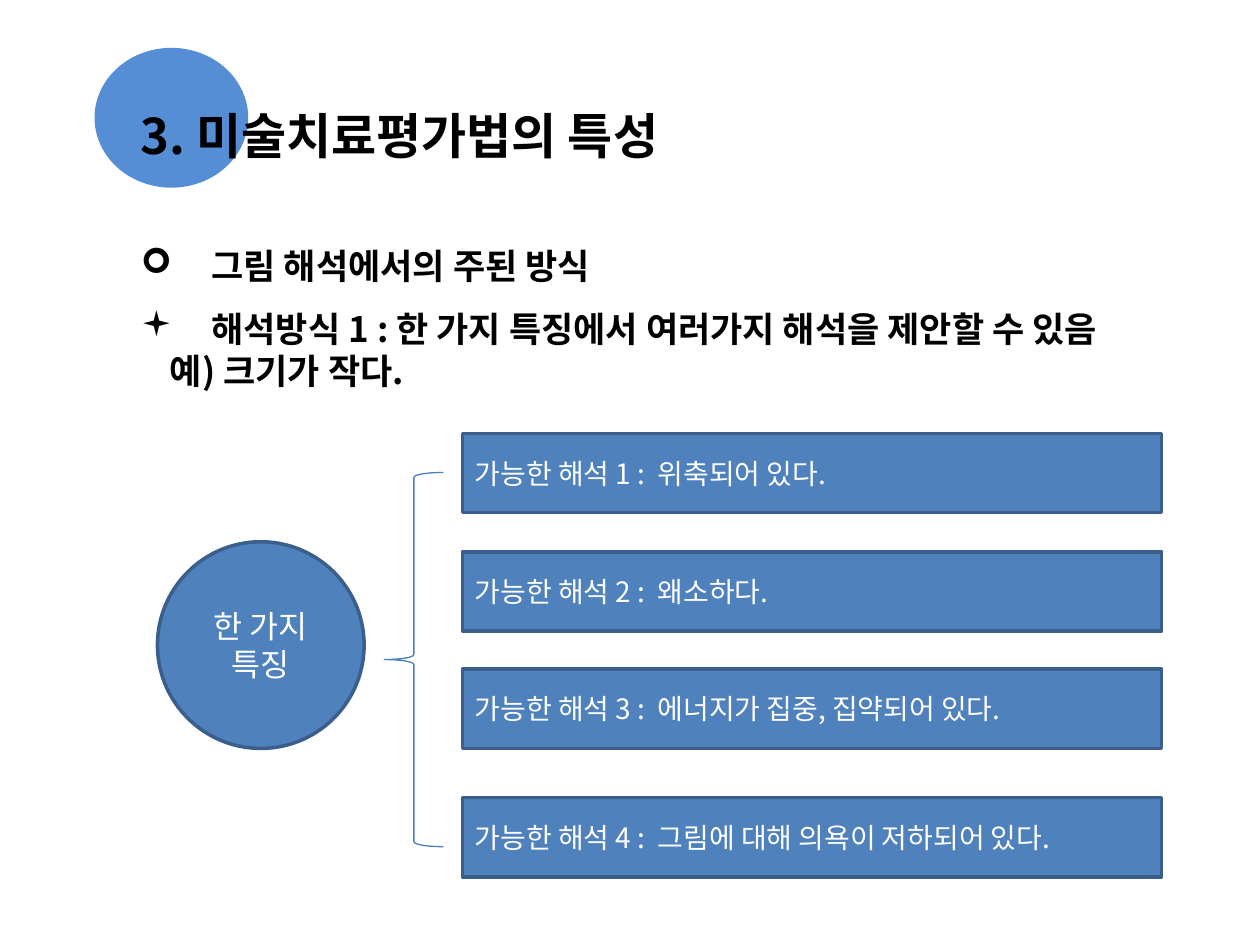
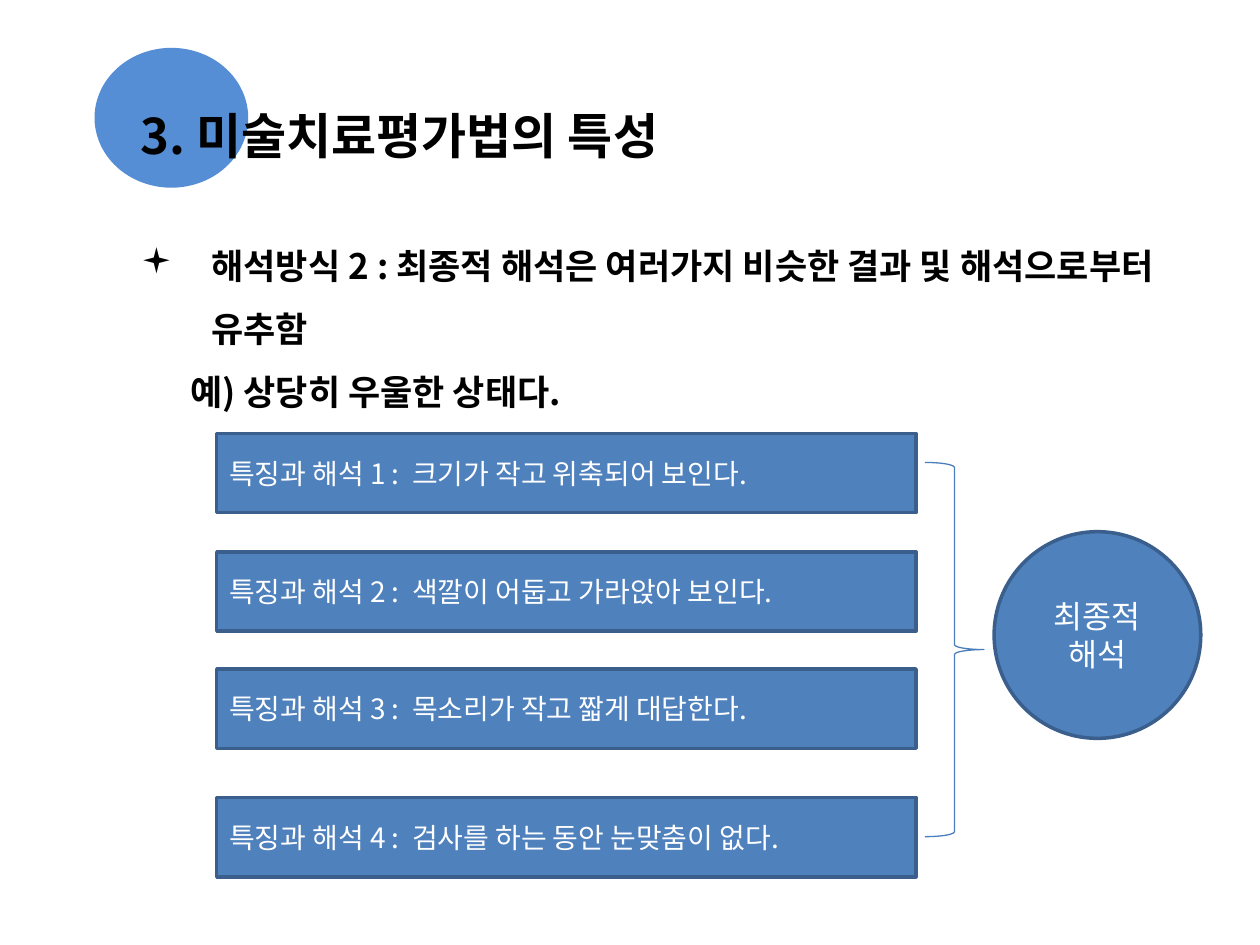
from lxml import etree
from pptx import Presentation
from pptx import util as u
from pptx.dml.color import RGBColor
from pptx.enum import shapes, text
from pptx.oxml import ns

# Shared style
FONT = "Noto Sans CJK KR"
BLACK = RGBColor(0x00, 0x00, 0x00)
WHITE = RGBColor(0xFF, 0xFF, 0xFF)
DISC_BLUE = RGBColor(0x55, 0x8E, 0xD5)
BOX_BLUE = RGBColor(0x4F, 0x81, 0xBD)
EDGE_BLUE = RGBColor(0x3A, 0x5F, 0x8C)
BRACE_BLUE = RGBColor(0x4B, 0x7E, 0xBC)

TITLE = "3. 미술치료평가법의 특성"
COLUMNS, ROWS = 100, 75
BOX_TOPS = (34.4, 43.8, 53.1, 63.3)
HANGING = 5.6

TITLE_FONT = {"size": u.Pt(28), "bold": True, "name": FONT}
BODY_FONT = {"size": u.Pt(20), "bold": True, "name": FONT}
CIRCLE_FONT = {"size": u.Pt(18), "name": FONT}
BOX_FONT = {"size": u.Pt(16), "name": FONT}


class SlideBuilder:
    """Draws elements on the current slide, placed on a 100 by 75 grid."""

    def __init__(self, deck):
        self.deck = deck
        self.column = deck.slide_width / COLUMNS
        self.row = deck.slide_height / ROWS
        self.page = None

    def start_page(self):
        self.page = self.deck.slides.add_slide(self.deck.slide_layouts[6])
        self.shape(shapes.MSO_SHAPE.OVAL, (7.5, 3.8, 12.2, 11.1), DISC_BLUE)

    def place(self, area):
        left, top, width, height = area
        return [round(length) for length in (left * self.column, top * self.row,
                                             width * self.column, height * self.row)]

    def shape(self, preset, area, fill=None, edge=None, weight=2):
        shape = self.page.shapes.add_shape(preset, *self.place(area))
        shape.shadow.inherit = False
        if fill is None:
            shape.fill.background()
        else:
            shape.fill.solid()
            shape.fill.fore_color.rgb = fill
        if edge is None:
            shape.line.fill.background()
        else:
            shape.line.color.rgb = edge
            shape.line.width = u.Pt(weight)
        return shape

    def add_words(self, para, words, font, color, layout):
        span = para.add_run()
        span.text = words
        for name, value in layout.items():
            setattr(para, name, value)
        for name, value in font.items():
            setattr(span.font, name, value)
        span.font.color.rgb = color
        east_asian = etree.SubElement(span._r.get_or_add_rPr(), ns.qn("a:ea"))
        east_asian.set("typeface", FONT)

    def indent(self, para, margin, first=0, bullet=None):
        props = para._p.get_or_add_pPr()
        props.set("marL", str(round(margin * self.column)))
        props.set("indent", str(round(first * self.column)))
        if bullet:
            etree.SubElement(props, ns.qn("a:buFont")).set("typeface", "Wingdings")
            etree.SubElement(props, ns.qn("a:buChar")).set("char", bullet)

    def heading(self, height, lines):
        """Title and body; each line is (bullet, margin, words, line height)."""
        area = self.place((10.2, 7.8, 87.5, height))
        frame = self.page.shapes.add_textbox(*area).text_frame
        frame.word_wrap = True
        self.add_words(frame.paragraphs[0], TITLE, TITLE_FONT, BLACK,
                       {"line_spacing": u.Pt(34)})
        for number, (bullet, margin, words, line_height) in enumerate(lines):
            para = frame.add_paragraph()
            self.indent(para, margin, -margin if bullet else 0, bullet)
            self.add_words(para, words, BODY_FONT, BLACK,
                           {"line_spacing": u.Pt(line_height),
                            "space_before": u.Pt(0 if number else 34)})

    def circle(self, left, top, lines):
        shape = self.shape(shapes.MSO_SHAPE.OVAL, (left, top, 16.4, 16.4),
                           BOX_BLUE, EDGE_BLUE)
        frame = shape.text_frame
        frame.vertical_anchor = text.MSO_ANCHOR.MIDDLE
        for number, words in enumerate(lines):
            para = frame.add_paragraph() if number else frame.paragraphs[0]
            self.add_words(para, words, CIRCLE_FONT, WHITE,
                           {"alignment": text.PP_ALIGN.CENTER,
                            "line_spacing": u.Pt(21.6)})

    def boxes(self, left, label, entries):
        for number, (top, entry) in enumerate(zip(BOX_TOPS, entries), 1):
            box = self.shape(shapes.MSO_SHAPE.RECTANGLE, (left, top, 55.5, 6.3),
                             BOX_BLUE, EDGE_BLUE)
            box.text_frame.vertical_anchor = text.MSO_ANCHOR.MIDDLE
            self.add_words(box.text_frame.paragraphs[0], f"{label} {number} :  {entry}",
                           BOX_FONT, WHITE, {"alignment": text.PP_ALIGN.LEFT})

    def brace(self, left, top, rotation=0):
        brace = self.shape(shapes.MSO_SHAPE.LEFT_BRACE, (left, top, 4.7, 29.7),
                           edge=BRACE_BLUE, weight=0.75)
        brace.rotation = rotation


def main():
    deck = Presentation()
    deck.slide_width, deck.slide_height = u.Inches(10), u.Inches(7.5)
    builder = SlideBuilder(deck)

    # One feature, several interpretations
    builder.start_page()
    builder.heading(32, [
        ("➢", HANGING, "그림 해석에서의 주된 방식", 36),
        ("▪", HANGING, "해석방식 1 : 한 가지 특징에서 여러가지 해석을 제안할 수 있음", 36),
        (None, 2.3, "예) 크기가 작다.", 24),
    ])
    builder.circle(12.5, 43, ["한 가지 특징"])
    builder.boxes(36.7, "가능한 해석", [
        "위축되어 있다.",
        "왜소하다.",
        "에너지가 집중, 집약되어 있다.",
        "그림에 대해 의욕이 저하되어 있다.",
    ])
    builder.brace(30.5, 37.5)

    # Several features, one final interpretation
    builder.start_page()
    builder.heading(30.3, [
        ("▪", HANGING,
         "해석방식 2 : 최종적 해석은 여러가지 비슷한 결과 및 해석으로부터 유추함", 36),
        (None, 3.9, "예) 상당히 우울한 상태다.", 36),
    ])
    builder.circle(78.9, 42.2, ["최종적", "해석"])
    builder.boxes(17.2, "특징과 해석", [
        "크기가 작고 위축되어 보인다.",
        "색깔이 어둡고 가라앉아 보인다.",
        "목소리가 작고 짧게 대답한다.",
        "검사를 하는 동안 눈맞춤이 없다.",
    ])
    builder.brace(73.4, 36.7, rotation=180)

    deck.save("out.pptx")


if __name__ == "__main__":
    main()
